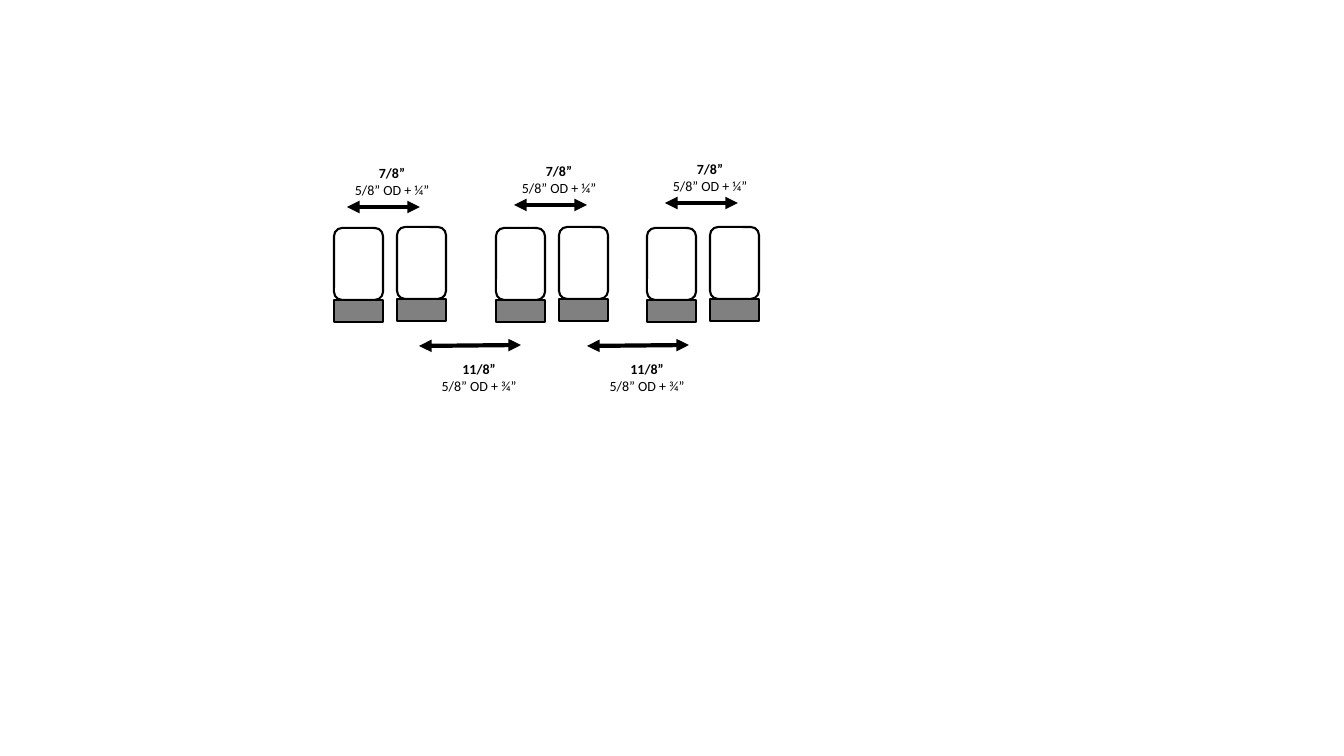
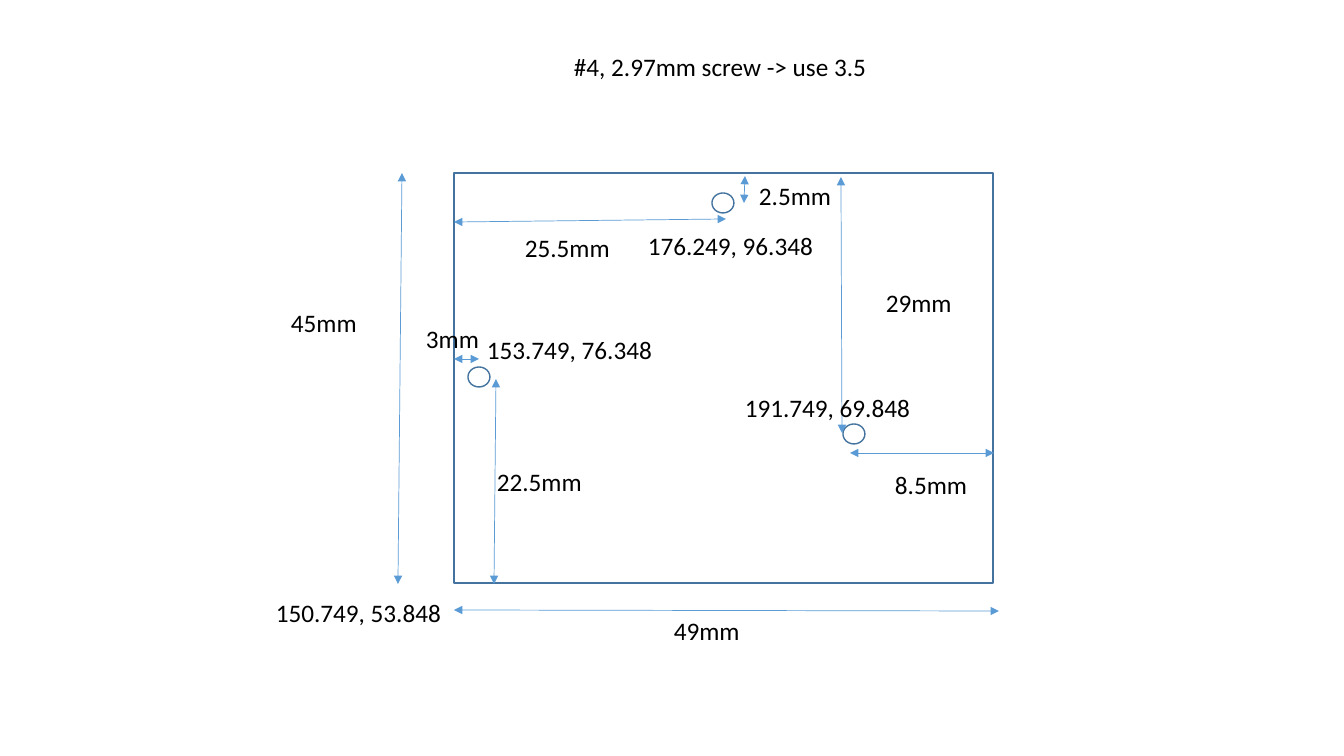
import pptx
import pptx.util
import pptx.dml.color
import pptx.enum.shapes
import pptx.enum.text
import pptx.oxml
import pptx.oxml.ns

UNIT = 914400 / 100.8
FONT = "Calibri"
INK = {"black": "000000", "white": "FFFFFF", "gray": "808080",
       "edge": "43739E", "blue": "5B9BD5"}
KIND = pptx.enum.shapes.MSO_SHAPE
ALIGN = pptx.enum.text.PP_ALIGN


def px(n):
    return pptx.util.Emu(round(n * UNIT))


def rgb(name):
    return pptx.dml.color.RGBColor.from_string(INK[name])


def stroke(line, ink, width):
    line.color.rgb = rgb(ink)
    line.width = pptx.util.Pt(width)


def shape(slide, kind, box, fill, ink, width):
    item = slide.shapes.add_shape(kind, *map(px, box))
    item.shadow.inherit = False
    if fill:
        item.fill.solid()
        item.fill.fore_color.rgb = rgb(fill)
    else:
        item.fill.background()
    stroke(item.line, ink, width)


def arrow(slide, ends, ink, width):
    kind = pptx.enum.shapes.MSO_CONNECTOR.STRAIGHT
    item = slide.shapes.add_connector(kind, *map(px, ends))
    stroke(item.line, ink, width)
    edge = item.line._get_or_add_ln()
    for tag in ("a:headEnd", "a:tailEnd"):
        tip = pptx.oxml.parse_xml(
            f'<{tag} {pptx.oxml.ns.nsdecls("a")} type="triangle"/>')
        edge.append(tip)
    item._element.spPr.append(pptx.oxml.parse_xml(
        f'<a:effectLst {pptx.oxml.ns.nsdecls("a")}/>'))


def label(slide, box, lines, size=18, align=ALIGN.LEFT, head=False):
    frame = slide.shapes.add_textbox(*map(px, box)).text_frame
    frame.word_wrap = True
    frame.auto_size = pptx.enum.text.MSO_AUTO_SIZE.SHAPE_TO_FIT_TEXT
    for i, words in enumerate(lines):
        para = frame.paragraphs[0] if i == 0 else frame.add_paragraph()
        para.alignment = align
        run = para.add_run()
        run.text = words
        style = {"name": FONT, "size": pptx.util.Pt(size),
                 "bold": head and i == 0}
        for key, value in style.items():
            setattr(run.font, key, value)
        run.font.color.rgb = rgb("black")


# Tube spacing
def tube(slide, x, y):
    wide, tall, base = 49, 72, 22
    shape(slide, KIND.ROUNDED_RECTANGLE, (x, y, wide, tall),
          "white", "black", 1.5)
    shape(slide, KIND.RECTANGLE, (x, y + tall, wide, base),
          "gray", "black", 1.5)


def gap(slide, ends, shift, lines):
    """Thick arrow with a two-line label, shifted from its left end."""
    x, y = ends[:2]
    arrow(slide, ends, "black", 3)
    label(slide, (x + shift[0], y + shift[1], 116, 44), lines,
          10, ALIGN.CENTER, True)


def tubes(slide, x, y):
    # Pairs of tubes
    for left in (0, 162, 313):
        tube(slide, x + left, y)
        tube(slide, x + left + 63, y - 1)
    # Gaps within pairs
    for left, top in ((13, -21), (180, -23), (331, -25)):
        ends = (x + left, y + top, x + left + 73, y + top)
        gap(slide, ends, (-13, -47), ("7/8”", "5/8” OD + ¼”"))
    # Gaps between pairs
    for left in (85, 253):
        ends = (x + left, y + 118, x + left + 102, y + 117)
        gap(slide, ends, (2, 10), ("11/8”", "5/8” OD + ¾”"))


# Plate with three screw holes; offsets count from its top left corner
SIZES = (
    ("45mm", (-173, 129), (-52, 0, -56, 411)),
    ("49mm", (210, 437), (0, 437, 545, 438)),
    ("3mm", (-38, 145), (0, 186, 25, 186)),
    ("22.5mm", (33, 288), (42, 206, 40, 411)),
    ("25.5mm", (61, 54), (0, 49, 272, 46)),
    ("2.5mm", (295, 2), (291, 3, 290, 30)),
    ("29mm", (422, 109), (387, 4, 388, 260)),
    ("8.5mm", (431, 291), (396, 280, 540, 280)),
)
HOLES = ((14, 194), (258, 20), (389, 251))
POINTS = (
    ("150.749, 53.848", (-188, 419)),
    ("153.749, 76.348", (23, 156)),
    ("176.249, 96.348", (184, 52)),
    ("191.749, 69.848", (281, 214)),
)


def plate(slide, box):
    x, y = box[:2]
    shape(slide, KIND.RECTANGLE, box, None, "edge", 1)
    for left, top in HOLES:
        shape(slide, KIND.OVAL, (x + left, y + top, 22, 20), None, "edge", 1)
    # Dimensions
    for words, (left, top), (x1, y1, x2, y2) in SIZES:
        arrow(slide, (x + x1, y + y1, x + x2, y + y2), "blue", 0.5)
        label(slide, (x + left, y + top, 117, 40), [words])
    # Coordinates
    for words, (left, top) in POINTS:
        label(slide, (x + left, y + top, 324, 72), [words])
    # Screw note
    label(slide, (x + 110, y - 127, 338, 40), ["#4, 2.97mm screw -> use 3.5"])


deck = pptx.Presentation()
deck.slide_width, deck.slide_height = px(1344), px(756)
blank = deck.slide_layouts[6]
tubes(deck.slides.add_slide(blank), 334, 228)
plate(deck.slides.add_slide(blank), (454, 173, 539, 410))
deck.save("out.pptx")
